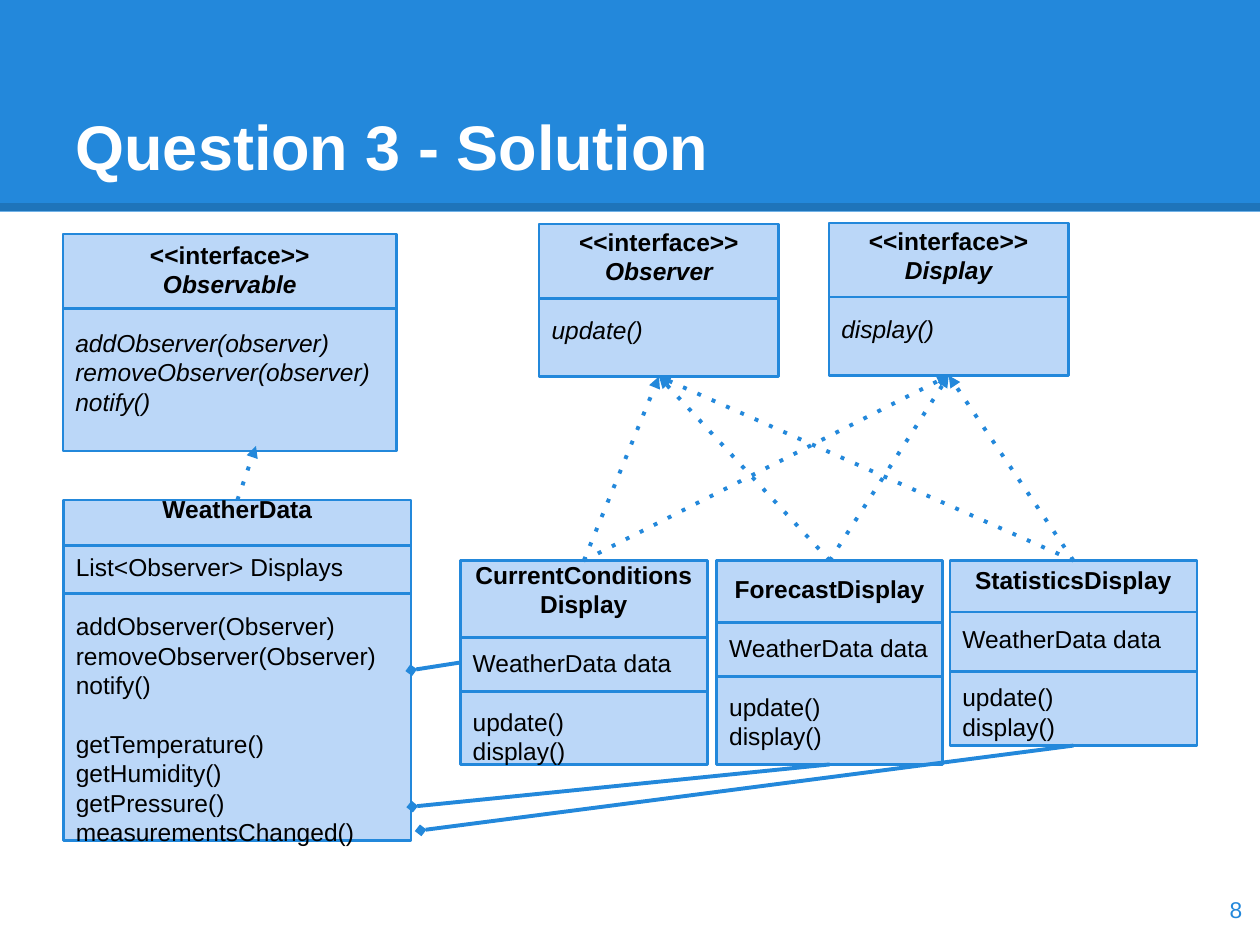
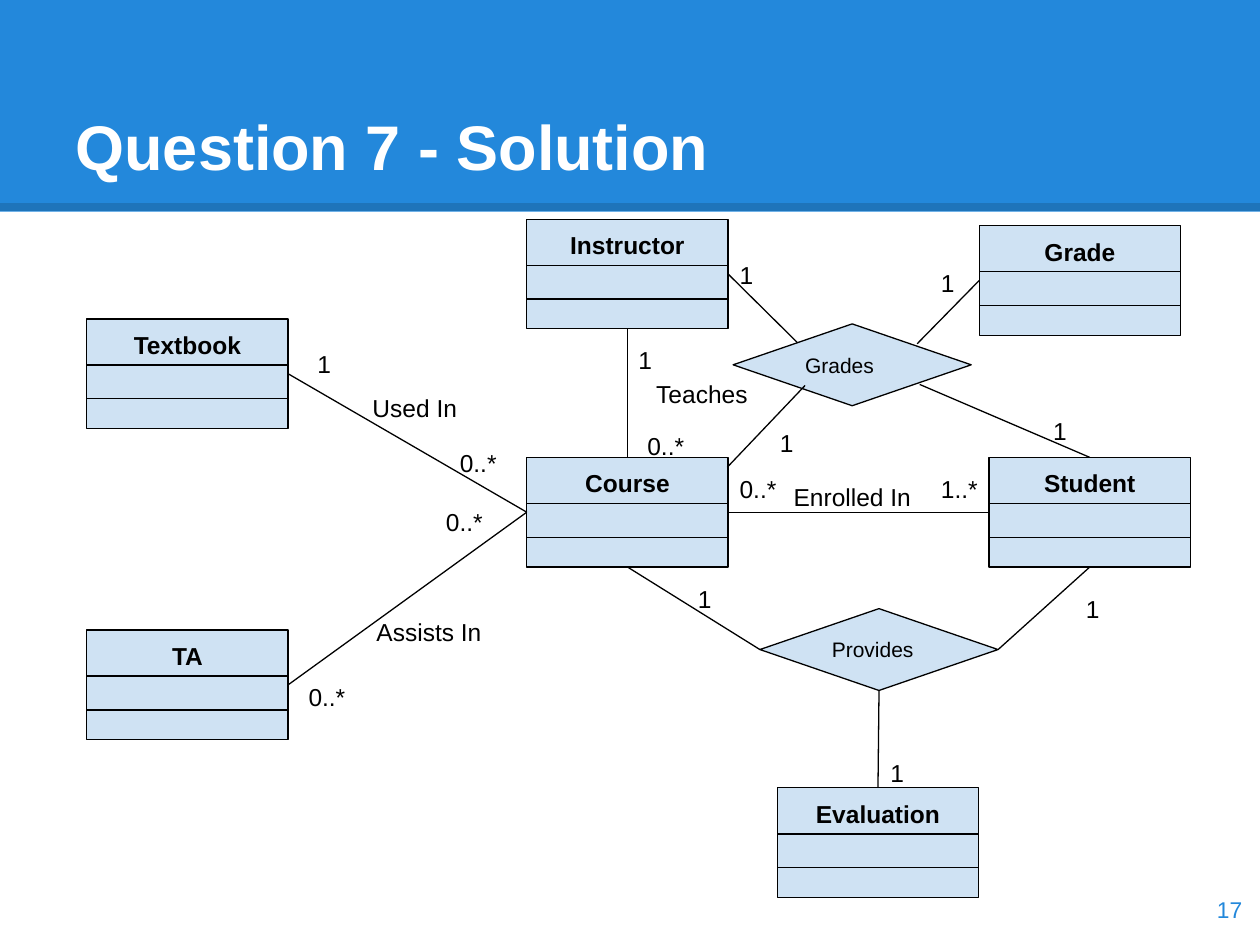
from lxml.etree import SubElement
from pptx import Presentation
from pptx.dml.color import RGBColor
from pptx.enum.shapes import MSO_CONNECTOR, MSO_SHAPE
from pptx.enum.text import MSO_ANCHOR, MSO_AUTO_SIZE, PP_ALIGN
from pptx.oxml.ns import qn
from pptx.util import Cm, Pt

BLUE = RGBColor(0x23, 0x88, 0xDB)
DARK_BLUE = RGBColor(0x1E, 0x74, 0xBA)
CLASS_FILL = RGBColor(0xBB, 0xD7, 0xF8)
ENTITY_FILL = RGBColor(0xCF, 0xE2, 0xF3)
BLACK = RGBColor(0, 0, 0)
WHITE = RGBColor(255, 255, 255)
FONT = "Arial"
LINE_HEIGHT = Pt(16.8)
INSET = Cm(0.25)
TOP, LEFT, BOTTOM, RIGHT = range(4)


def write(paragraph, text, size=14, color=BLACK, bold=False, italic=False,
          alignment=PP_ALIGN.LEFT):
    paragraph.text = text
    paragraph.alignment = alignment
    font = paragraph.font
    font.name, font.size, font.bold, font.italic = FONT, Pt(size), bold, italic
    font.color.rgb = color


def draw_line(slide, start, end, color, width, dash=None, arrowhead=None):
    """Each end is a (shape, side) pair or an (x, y) point in centimetres."""
    connector = slide.shapes.add_connector(MSO_CONNECTOR.STRAIGHT, 0, 0, 0, 0)
    if isinstance(start[0], (int, float)):
        connector.begin_x, connector.begin_y = Cm(start[0]), Cm(start[1])
    else:
        connector.begin_connect(*start)
    if isinstance(end[0], (int, float)):
        connector.end_x, connector.end_y = Cm(end[0]), Cm(end[1])
    else:
        connector.end_connect(*end)
    connector.line.color.rgb = color
    connector.line.width = Pt(width)
    properties = connector._element.spPr
    outline = properties.find(qn("a:ln"))
    if dash:
        SubElement(outline, qn("a:prstDash"), val=dash)
    if arrowhead:
        SubElement(outline, qn("a:tailEnd"), type=arrowhead)
    SubElement(properties, qn("a:effectLst"))


presentation = Presentation()
presentation.slide_width, presentation.slide_height = Cm(25.4), Cm(19.05)

# Shared frame: band, title, page number
slides = []
for title_text, page_number in (("Question 3 - Solution", "8"),
                                ("Question 7 - Solution", "17")):
    slide = presentation.slides.add_slide(presentation.slide_layouts[5])
    slides.append(slide)

    band = slide.shapes.add_shape(MSO_SHAPE.RECTANGLE, 0, 0, Cm(25.4), Cm(4.27))
    band.shadow.inherit = False
    band.fill.solid()
    band.fill.fore_color.rgb = BLUE
    band.line.fill.background()
    slide.shapes._spTree.insert(2, band._element)
    draw_line(slide, (0, 4.17), (25.4, 4.17), DARK_BLUE, 4.5)

    title = slide.shapes.title
    title.left, title.top = Cm(1.27), Cm(0.76)
    title.width, title.height = Cm(22.86), Cm(3.18)
    frame = title.text_frame
    frame.auto_size = MSO_AUTO_SIZE.NONE
    frame.vertical_anchor = MSO_ANCHOR.BOTTOM
    frame.margin_bottom = INSET
    write(frame.paragraphs[0], title_text, 36, WHITE, bold=True)

    number_box = slide.shapes.add_textbox(Cm(23.77), Cm(17.6), Cm(1.52), Cm(1.45))
    number_box.text_frame.word_wrap = True
    number_box.text_frame.vertical_anchor = MSO_ANCHOR.MIDDLE
    write(number_box.text_frame.paragraphs[0], page_number, 13, BLUE,
          alignment=PP_ALIGN.RIGHT)

observer_slide, course_slide = slides

# Observer pattern: left, top, width, height, divider heights, text sections
INTERFACE = "<<interface>>"
display_members = (["WeatherData data"], ["update()", "display()"])
classes = [
    (1.27, 4.72, 6.73, 4.37, [6.22],
     [[INTERFACE, "Observable"],
      ["addObserver(observer)", "removeObserver(observer)", "notify()"]]),
    (10.87, 4.52, 4.83, 3.07, [6.02], [[INTERFACE, "Observer"], ["update()"]]),
    (16.71, 4.5, 4.83, 3.07, [5.99], [[INTERFACE, "Display"], ["display()"]]),
    (1.28, 10.08, 7.01, 6.86, [11, 11.96],
     [["WeatherData"], ["List<Observer> Displays"],
      ["addObserver(Observer)", "removeObserver(Observer)", "notify()"],
      ["getTemperature()", "getHumidity()", "getPressure()",
       "measurementsChanged()"]]),
    (9.28, 11.3, 4.98, 4.11, [12.85, 13.94],
     [["CurrentConditionsDisplay"], *display_members]),
    (14.45, 11.3, 4.55, 4.11, [12.55, 13.64],
     [["ForecastDisplay"], *display_members]),
    (19.15, 11.3, 4.98, 3.73, [12.34, 13.54],
     [["StatisticsDisplay"], *display_members]),
]
class_boxes = {}
for left, top, width, height, dividers, sections in classes:
    box = observer_slide.shapes.add_shape(
        MSO_SHAPE.RECTANGLE, Cm(left), Cm(top), Cm(width), Cm(height))
    class_boxes[sections[0][-1]] = box
    is_interface = INTERFACE in sections[0]
    frame = box.text_frame
    frame.vertical_anchor = MSO_ANCHOR.MIDDLE
    frame.margin_top = INSET
    frame.margin_bottom = INSET + (LINE_HEIGHT if is_interface else 0)
    paragraph = frame.paragraphs[0]
    for section_index, section in enumerate(sections):
        is_heading = section_index == 0
        for line_index, text in enumerate(section):
            if section_index or line_index:
                paragraph = frame.add_paragraph()
            write(paragraph, text, bold=is_heading,
                  italic=is_interface and text != INTERFACE,
                  alignment=PP_ALIGN.CENTER if is_heading else PP_ALIGN.LEFT)
            paragraph.line_spacing = LINE_HEIGHT
            if section_index and line_index == 0:
                paragraph.space_before = LINE_HEIGHT
    for divider in dividers:
        draw_line(observer_slide, (left, divider), (left + width, divider), BLUE, 1.5)

weather_data = class_boxes["WeatherData"]
current = class_boxes["CurrentConditionsDisplay"]
forecast = class_boxes["ForecastDisplay"]
statistics = class_boxes["StatisticsDisplay"]

draw_line(observer_slide, (weather_data, TOP), (5.16, 8.99), BLUE, 2.25,
          "dot", "triangle")
for display in (current, forecast, statistics):
    for interface in ("Observer", "Display"):
        draw_line(observer_slide, (display, TOP), (class_boxes[interface], BOTTOM),
                  BLUE, 2.25, "dot", "triangle")
for start, end in (((current, LEFT), (weather_data, RIGHT)),
                   ((forecast, BOTTOM), (8.31, 16.26)),
                   ((statistics, BOTTOM), (8.48, 16.74))):
    draw_line(observer_slide, start, end, BLUE, 2.25, arrowhead="diamond")

# Course model
ENTITY_WIDTH, ENTITY_HEIGHT = 4.06, 2.21
entities = [
    ("Instructor", 10.62, 4.42), ("Textbook", 1.75, 6.43), ("TA", 1.75, 12.7),
    ("Course", 10.62, 9.22), ("Student", 19.94, 9.22), ("Grade", 19.74, 4.55),
    ("Evaluation", 15.67, 15.88),
]
entity_boxes = {}
for name, left, top in entities:
    box = course_slide.shapes.add_shape(
        MSO_SHAPE.RECTANGLE, Cm(left), Cm(top), Cm(ENTITY_WIDTH), Cm(ENTITY_HEIGHT))
    entity_boxes[name] = box
    box.text_frame.vertical_anchor = MSO_ANCHOR.TOP
    box.text_frame.margin_top = Cm(0.22)
    write(box.text_frame.paragraphs[0], name, bold=True, alignment=PP_ALIGN.CENTER)
    for offset in (0.93, 1.61):
        draw_line(course_slide, (left, top + offset),
                  (left + ENTITY_WIDTH, top + offset), BLACK, 0.75)

for name, left, top in (("Provides", 15.32, 12.27), ("Grades", 14.78, 6.53)):
    diamond = course_slide.shapes.add_shape(
        MSO_SHAPE.FLOWCHART_DECISION, Cm(left), Cm(top), Cm(4.8), Cm(1.65))
    entity_boxes[name] = diamond
    diamond.text_frame.vertical_anchor = MSO_ANCHOR.MIDDLE
    write(diamond.text_frame.paragraphs[0], name, 12)

joined_sides = [
    ("Course", LEFT, "TA", RIGHT),
    ("Course", LEFT, "Textbook", RIGHT),
    ("Course", RIGHT, "Student", LEFT),
    ("Instructor", BOTTOM, "Course", TOP),
    ("Provides", BOTTOM, "Evaluation", TOP),
    ("Course", BOTTOM, "Provides", LEFT),
    ("Student", BOTTOM, "Provides", RIGHT),
]
for first, first_side, second, second_side in joined_sides:
    draw_line(course_slide, (entity_boxes[first], first_side),
              (entity_boxes[second], second_side), BLACK, 0.75)

for start, grades_edge in (((entity_boxes["Instructor"], RIGHT), (16.08, 6.91)),
                           ((entity_boxes["Grade"], LEFT), (18.49, 6.93)),
                           ((14.66, 9.42), (16.23, 7.77)),
                           ((entity_boxes["Student"], TOP), (18.54, 7.75))):
    draw_line(course_slide, start, grades_edge, BLACK, 0.75)

labels = [
    ("Assists In", 7.34, 12.19), ("0..*", 5.97, 13.49), ("0..*", 8.74, 9.98),
    ("Used In", 7.26, 7.67), ("1", 6.15, 6.78), ("0..*", 9.02, 8.79),
    ("Enrolled In", 15.75, 9.47), ("0..*", 14.66, 9.3), ("1..*", 18.72, 9.3),
    ("1", 13.82, 11.53), ("1", 21.64, 11.73), ("1", 17.7, 15.04),
    ("Teaches", 12.98, 7.39), ("1", 12.62, 6.71), ("0..*", 12.8, 8.43),
    ("1", 14.66, 5), ("1", 18.72, 5.16), ("1", 20.98, 8.13), ("1", 15.47, 8.38),
]
for text, left, top in labels:
    label_width = 1.85 if len(text) <= 4 else 3.25
    label = course_slide.shapes.add_textbox(
        Cm(left), Cm(top), Cm(label_width), Cm(0.69))
    label.text_frame.word_wrap = True
    label.text_frame.margin_top = INSET
    write(label.text_frame.paragraphs[0], text)

# Box colours of both diagrams
for boxes, fill_color, line_color, line_width in (
        (class_boxes, CLASS_FILL, BLUE, 1.5),
        (entity_boxes, ENTITY_FILL, BLACK, 0.75)):
    for box in boxes.values():
        box.shadow.inherit = False
        box.fill.solid()
        box.fill.fore_color.rgb = fill_color
        box.line.color.rgb = line_color
        box.line.width = Pt(line_width)

presentation.save("out.pptx")
